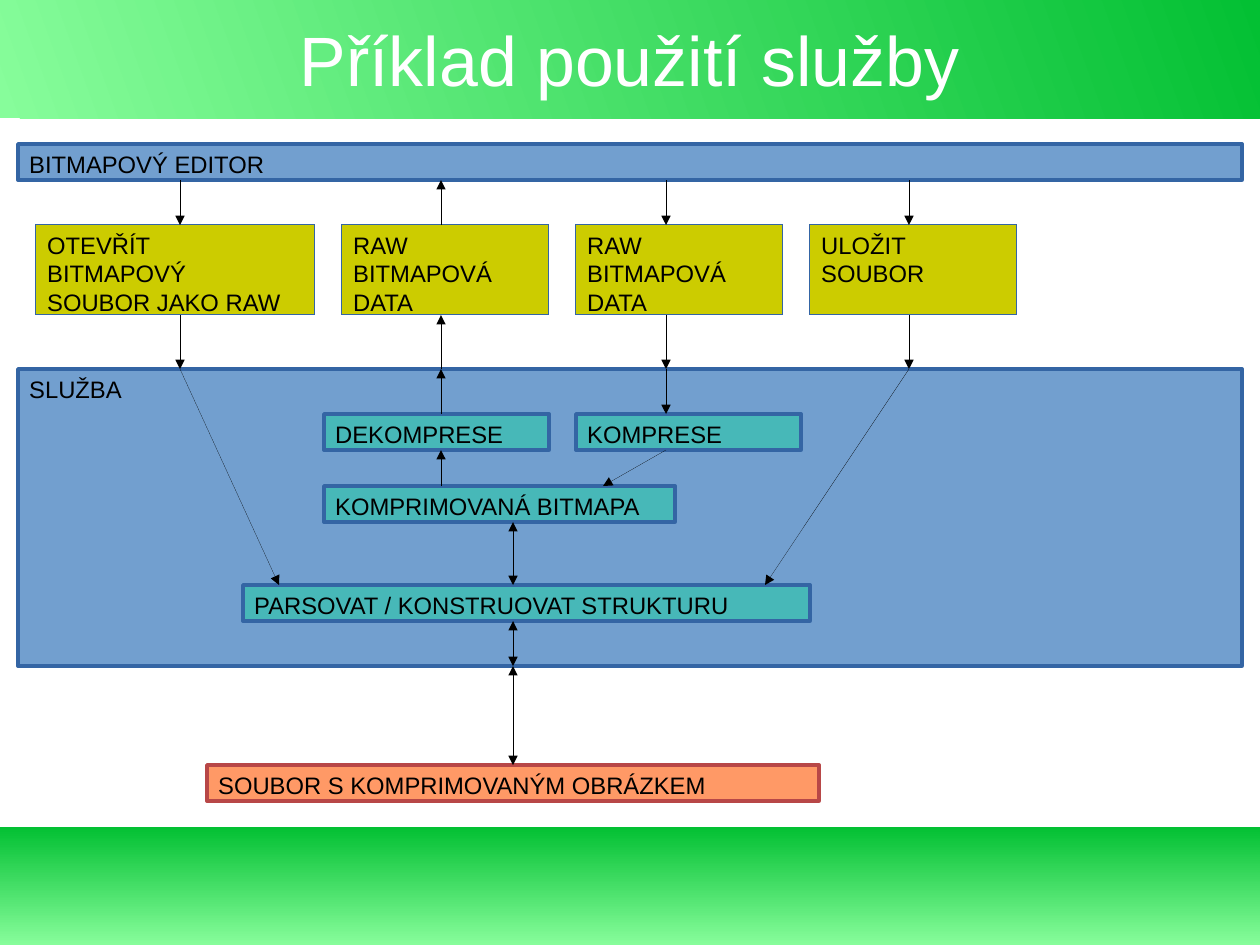
from lxml import etree
from pptx import Presentation
from pptx import util as u
from pptx.dml.color import RGBColor
from pptx.enum import shapes, text
from pptx.oxml.ns import qn

PX = u.Mm(0.25)
BLACK = RGBColor(0x00, 0x00, 0x00)
WHITE = RGBColor(0xFF, 0xFF, 0xFF)
LIGHT_GREEN = RGBColor(0x87, 0xFD, 0x9B)
GREEN = RGBColor(0x03, 0xC0, 0x33)
BLUE = RGBColor(0x72, 0x9F, 0xCF)
DARK_BLUE = RGBColor(0x34, 0x65, 0xA4)
OLIVE = RGBColor(0xCC, 0xCC, 0x00)
TEAL = RGBColor(0x47, 0xB8, 0xB8)
ORANGE = RGBColor(0xFF, 0x99, 0x66)
RED = RGBColor(0xB8, 0x47, 0x47)


def px(*lengths):
    """Turn px lengths into EMU."""
    return [length * PX for length in lengths]


def write(sp, content, size=15, color=BLACK, align=text.PP_ALIGN.LEFT,
          anchor=text.MSO_ANCHOR.TOP, insets=(10, 5, 18, 0)):
    """Put formatted text into a shape."""
    tf = sp.text_frame
    tf.word_wrap = True
    tf.auto_size = text.MSO_AUTO_SIZE.NONE
    tf.vertical_anchor = anchor
    tf.margin_left, tf.margin_top, tf.margin_right, tf.margin_bottom = px(*insets)
    p = tf.paragraphs[0]
    p.alignment = align
    r = p.add_run()
    r.text = content
    r.font.name = "Arial"
    r.font.size = u.Pt(size)
    r.font.color.rgb = color


def outline(sp, color, width):
    """Give a shape or connector a solid line and return its XML element."""
    sp.line.color.rgb = color
    ln = sp.element.spPr.find(qn("a:ln"))
    ln.set("w", str(int(u.Pt(width))))
    return ln


def card(s, box, content, fill, line=DARK_BLUE, width=2.3):
    """Draw a labelled rectangle."""
    sp = s.shapes.add_shape(shapes.MSO_SHAPE.RECTANGLE, *px(*box))
    sp.shadow.inherit = False
    sp.fill.solid()
    sp.fill.fore_color.rgb = fill
    outline(sp, line, width)
    write(sp, content)
    return sp


def arrow(s, x1, y1, x2, y2, both=False):
    """Draw a hairline arrow, optionally pointing both ways."""
    c = s.shapes.add_connector(shapes.MSO_CONNECTOR.STRAIGHT, *px(x1, y1, x2, y2))
    ln = outline(c, BLACK, 0)
    for end in ("a:headEnd", "a:tailEnd") if both else ("a:tailEnd",):
        etree.SubElement(ln, qn(end), type="triangle")
    etree.SubElement(c.element.spPr, qn("a:effectLst"))
    return c


def band(s, box, angle):
    """Draw a green gradient band behind the title."""
    sp = s.shapes.add_shape(shapes.MSO_SHAPE.RECTANGLE, *px(*box))
    sp.shadow.inherit = False
    sp.line.fill.background()
    sp.fill.gradient()
    sp.fill.gradient_angle = angle
    for stop, color in zip(sp.fill.gradient_stops, (LIGHT_GREEN, GREEN)):
        stop.color.rgb = color
    s.shapes.title.element.addprevious(sp.element)


def header(s, box, content):
    """Draw the top band with the slide title."""
    x, y, w, h = box
    band(s, box, 20)
    title = s.shapes.title
    title.left, title.top, title.width, title.height = px(x + 56, y + 17, w - 112, h - 34)
    write(title, content, size=44, color=WHITE, align=text.PP_ALIGN.CENTER,
          anchor=text.MSO_ANCHOR.MIDDLE, insets=(0, 0, 0, 0))


def requests(s, box):
    """Draw the messages passed between the editor and the service."""
    x, y, w, h = box
    gap, height = 40, 80
    messages = (
        (0, 248, "OTEVŘÍT BITMAPOVÝ SOUBOR JAKO RAW", 128, False),
        (272, 184, "RAW BITMAPOVÁ DATA", 360, True),
        (480, 184, "RAW BITMAPOVÁ DATA", 560, False),
        (688, 184, "ULOŽIT SOUBOR", 776, False),
    )
    for left, width, content, arrow_x, upward in messages:
        card(s, (x + left, y + gap, width, height), content, OLIVE, width=0)
        for start, end in ((0, gap), (gap + height, h)):
            if upward:
                start, end = end, start
            arrow(s, x + arrow_x, y + start, x + arrow_x, y + end)


def service(s, box):
    """Draw the service with its inner steps."""
    x, y, w, h = box
    card(s, box, "SLUŽBA", BLUE)
    steps = (
        (272, 40, 200, "DEKOMPRESE"),
        (496, 40, 200, "KOMPRESE"),
        (272, 104, 312, "KOMPRIMOVANÁ BITMAPA"),
        (200, 192, 504, "PARSOVAT / KONSTRUOVAT STRUKTURU"),
    )
    for left, top, width, content in steps:
        card(s, (x + left, y + top, width, 32), content, TEAL)
    flows = (
        (376, 104, 376, 72, False),
        (376, 40, 376, 0, False),
        (576, 0, 576, 40, False),
        (576, 72, 520, 104, False),
        (144, 0, 232, 192, False),
        (792, 0, 664, 192, False),
        (440, 136, 440, 192, True),
        (440, 224, 440, h, True),
    )
    for x1, y1, x2, y2, both in flows:
        arrow(s, x + x1, y + y1, x + x2, y + y2, both)


def storage(s, box):
    """Draw the compressed file and its link up to the service."""
    x, y, w, h = box
    height = 32
    top = y + h - height
    saved_file = card(s, (x, top, w, height), "SOUBOR S KOMPRIMOVANÝM OBRÁZKEM", ORANGE, RED)
    middle = x + w // 2
    link = arrow(s, middle, top, middle, y, both=True)
    link.begin_connect(saved_file, 0)


def main():
    """Build and save the slide."""
    prs = Presentation()
    prs.slide_width, prs.slide_height = px(1120, 840)
    s = prs.slides.add_slide(prs.slide_layouts[5])
    header(s, (0, 0, 1120, 105), "Příklad použití služby")
    band(s, (0, 735, 1120, 105), 90)
    card(s, (16, 128, 1088, 32), "BITMAPOVÝ EDITOR", BLUE)
    service(s, (16, 328, 1088, 264))
    requests(s, (32, 160, 872, 168))
    storage(s, (184, 592, 544, 120))
    prs.save("out.pptx")


if __name__ == "__main__":
    main()
